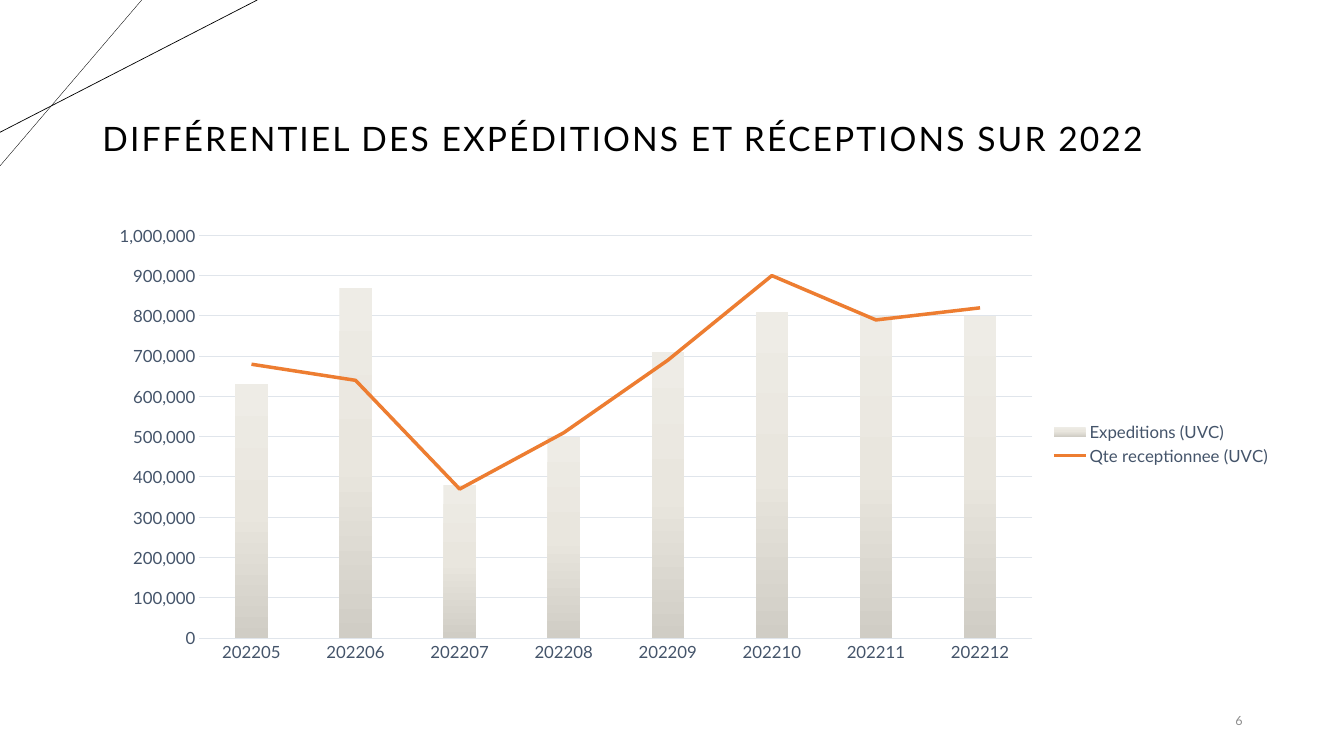
import copy

import lxml.etree
import pptx
import pptx.chart.data
import pptx.dml.color
import pptx.enum.chart
import pptx.enum.shapes
import pptx.enum.text
import pptx.oxml
import pptx.oxml.ns
import pptx.util

PX = 9525  # EMU per px, 96 px to the inch
THEME = {
    "font": "Lato",
    "ink": "000000", "label": "44546A", "muted": "8C8C8C",
    "grid": "E0E5EB", "receipts": "ED7D31",
    "bars": [(0, "EEECE6"), (0.5, "E9E6DE"), (1, "D0CDC5")],
    "title_size": 24, "label_size": 12, "number_size": 9,
}
ALIGN = pptx.enum.text.PP_ALIGN
ANCHOR = pptx.enum.text.MSO_ANCHOR
RGB = pptx.dml.color.RGBColor.from_string
qn = pptx.oxml.ns.qn


def format_font(font, size, color):
    font.name, font.size, font.bold = THEME["font"], pptx.util.Pt(size), False
    font.color.rgb = RGB(color)


def write(shape, text, size, color, align=ALIGN.LEFT, anchor=ANCHOR.MIDDLE, spacing=0):
    """Fill a shape with one formatted line; spacing is in points per letter."""
    frame = shape.text_frame
    frame.word_wrap = True
    frame.auto_size = pptx.enum.text.MSO_AUTO_SIZE.NONE
    frame.vertical_anchor = anchor
    paragraph = frame.paragraphs[0]
    paragraph.alignment = align
    run = paragraph.add_run()
    run.text = text
    format_font(run.font, size, color)
    run.font._element.set("spc", str(int(spacing * 100)))


deck = pptx.Presentation()
deck.slide_width, deck.slide_height = 1280 * PX, 720 * PX
slide = deck.slides.add_slide(deck.slide_layouts[5])

# Crossing corner lines
for top_x, left_y, width in [(135, 158, 0.25), (245, 126, 0.5)]:
    corner_line = slide.shapes.add_connector(
        pptx.enum.shapes.MSO_CONNECTOR.STRAIGHT, top_x * PX, 0, 0, left_y * PX)
    corner_line.line.color.rgb = RGB(THEME["ink"])
    corner_line.line.width = pptx.util.Pt(width)
    lxml.etree.SubElement(corner_line._element.spPr, qn("a:effectLst"))

# Title and page number
title = slide.shapes.title
title.left, title.top, title.width, title.height = 88 * PX, 81 * PX, 1104 * PX, 75 * PX
write(title, "DIFFÉRENTIEL DES EXPÉDITIONS ET RÉCEPTIONS SUR 2022",
      THEME["title_size"], THEME["ink"], anchor=ANCHOR.BOTTOM, spacing=1.5)
page_number = slide.shapes.add_textbox(1089 * PX, 667 * PX, 104 * PX, 38 * PX)
write(page_number, "6", THEME["number_size"], THEME["muted"], align=ALIGN.RIGHT)

# Monthly shipments and receipts
monthly = pptx.chart.data.CategoryChartData(number_format="#,##0")
monthly.categories = [f"2022{month:02}" for month in range(5, 13)]
monthly.add_series("Expeditions (UVC)", [
    630000, 870000, 380000, 500000, 710000, 810000, 800000, 800000])
monthly.add_series("Qte receptionnee (UVC)", [
    680000, 640000, 370000, 510000, 690000, 900000, 790000, 820000])
chart = slide.shapes.add_chart(
    pptx.enum.chart.XL_CHART_TYPE.COLUMN_CLUSTERED,
    88 * PX, 207 * PX, 1133 * PX, 431 * PX, monthly).chart
format_font(chart.font, THEME["label_size"], THEME["label"])
chart.has_title = False
chart.has_legend = True
chart.legend.position = pptx.enum.chart.XL_LEGEND_POSITION.RIGHT
chart.legend.include_in_layout = False
format_font(chart.legend.font, THEME["label_size"], THEME["label"])

columns = chart.plots[0]
columns.gap_width, columns.overlap, columns.vary_by_categories = 219, -27, False
shipments, receipts = columns.series

bar_fill = shipments.format.fill
bar_fill.gradient()
bar_fill.gradient_angle = 270
stop_list = shipments._element.find(".//" + qn("a:gsLst"))
stop_list.append(copy.deepcopy(stop_list[0]))
for stop, (position, color) in zip(bar_fill.gradient_stops, THEME["bars"]):
    stop.position = position
    stop.color.rgb = RGB(color)

# The receipts move to a line plot on the same axes
bar_plot = shipments._element.getparent()
line_plot = pptx.oxml.parse_xml(
    f'<c:lineChart {pptx.oxml.ns.nsdecls("c")}><c:grouping val="standard"/>'
    '<c:varyColors val="0"/><c:marker val="1"/></c:lineChart>')
receipts_ser = receipts._element
for bar_only in receipts_ser.findall(qn("c:invertIfNegative")):
    receipts_ser.remove(bar_only)
line_plot.insert(2, receipts_ser)
for axis_id in bar_plot.findall(qn("c:axId")):
    line_plot.append(copy.deepcopy(axis_id))
bar_plot.addnext(line_plot)
receipts = chart.plots[1].series[0]
receipts.smooth = False
receipts.marker.style = pptx.enum.chart.XL_MARKER_STYLE.NONE
receipts.format.line.color.rgb = RGB(THEME["receipts"])
receipts.format.line.width = pptx.util.Pt(2.5)

# Axes and gridlines
months, units = chart.category_axis, chart.value_axis
for axis in (months, units):
    axis.major_tick_mark = axis.minor_tick_mark = pptx.enum.chart.XL_TICK_MARK.NONE
    format_font(axis.tick_labels.font, THEME["label_size"], THEME["label"])
months.has_major_gridlines = False
units.has_major_gridlines = True
units.minimum_scale, units.maximum_scale, units.major_unit = 0, 1000000, 100000
units.tick_labels.number_format = "#,##0"
units.tick_labels.number_format_is_linked = False
units.format.line.fill.background()
for rule in (months.format.line, units.major_gridlines.format.line):
    rule.color.rgb = RGB(THEME["grid"])
    rule.width = pptx.util.Pt(0.75)

# Plot area as shares of the chart frame
plot_area = bar_plot.getparent()
for old_layout in plot_area.findall(qn("c:layout")):
    plot_area.remove(old_layout)
layout = lxml.etree.Element(qn("c:layout"))
manual = lxml.etree.SubElement(layout, qn("c:manualLayout"))
for tag, value in [("layoutTarget", "inner"), ("xMode", "edge"), ("yMode", "edge"),
                   ("x", 0.09), ("y", 0.04), ("w", 0.7), ("h", 0.89)]:
    lxml.etree.SubElement(manual, qn("c:" + tag)).set("val", str(value))
plot_area.insert(0, layout)

deck.save("out.pptx")
